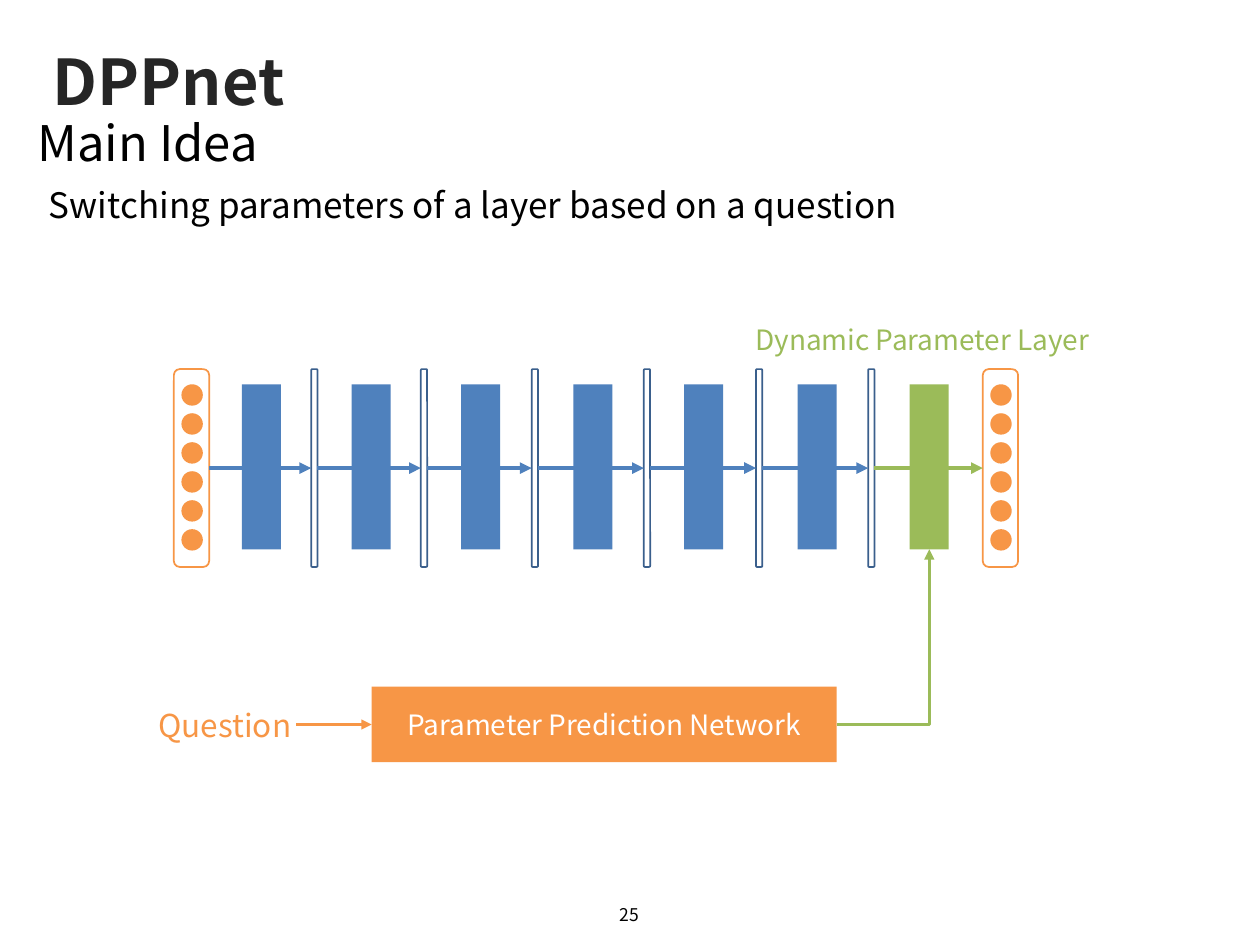
from lxml import etree
from pptx import Presentation
from pptx.dml.color import RGBColor
from pptx.enum.shapes import MSO_CONNECTOR, MSO_SHAPE
from pptx.enum.text import MSO_ANCHOR, PP_ALIGN
from pptx.oxml.ns import qn
from pptx.util import Inches, Pt

RECT, ROUND, OVAL = MSO_SHAPE.RECTANGLE, MSO_SHAPE.ROUNDED_RECTANGLE, MSO_SHAPE.OVAL
STRAIGHT, ELBOW = MSO_CONNECTOR.STRAIGHT, MSO_CONNECTOR.ELBOW
LEFT, CENTER, MIDDLE = PP_ALIGN.LEFT, PP_ALIGN.CENTER, MSO_ANCHOR.MIDDLE
TOP_SIDE, LEFT_SIDE, BOTTOM_SIDE, RIGHT_SIDE = range(4)

FONT = "Noto Sans CJK KR"
BLACK = RGBColor(0x00, 0x00, 0x00)
DARK = RGBColor(0x26, 0x26, 0x26)
WHITE = RGBColor(0xFF, 0xFF, 0xFF)
ORANGE = RGBColor(0xF7, 0x96, 0x46)
BLUE = RGBColor(0x4F, 0x81, 0xBD)
NAVY = RGBColor(0x3A, 0x5F, 0x8C)
GREEN = RGBColor(0x9B, 0xBB, 0x59)

TITLE = ("DPPnet", (0.32, 0.28, 9.38, 0.72), LEFT, {"size": Pt(36), "bold": True}, DARK)
TEXTS = [
    ("25", (3.83, 7.06, 2.33, 0.4), CENTER, {"size": Pt(10)}, BLACK),
    ("Main Idea", (0.2, 0.8, 9.8, 0.66), LEFT, {"size": Pt(28)}, BLACK),
    ("Switching parameters of a layer based on a question",
     (0.29, 1.39, 9.71, 0.47), LEFT, {"size": Pt(20)}, BLACK),
    ("Dynamic Parameter Layer", (5.78, 2.49, 3.08, 0.41), CENTER, {"size": Pt(16)}, GREEN),
]
QUESTION = ("Question", (1.22, 5.58, 1.13, 0.34), CENTER, {"size": Pt(18)}, ORANGE)
NETWORK = ("Parameter Prediction Network", (2.95, 5.45, 3.69, 0.6), CENTER,
           {"size": Pt(16)}, WHITE)

BLOCK_LEFTS = [1.92, 2.79, 3.66, 4.55, 5.43, 6.33]
BAR_LEFTS = [2.47, 3.34, 4.22, 5.11, 6, 6.89]
DYNAMIC_LEFT = 7.22
INPUT_LEFT, OUTPUT_LEFT = 1.38, 7.8
BLOCK_TOP, BLOCK_W, BLOCK_H = 3.05, 0.31, 1.31
BAR_TOP, BAR_W, BAR_H = 2.93, 0.05, 1.57
COLUMN_W, NODE_COUNT, NODE_SIZE, NODE_STEP, NODE_INSET = 0.28, 6, 0.17, 0.23, 0.06


def box(values):
    return [Inches(v) for v in values]


def write(s, text, align, fmt, color):
    tf = s.text_frame
    tf.word_wrap = True
    tf.vertical_anchor = MIDDLE
    p = tf.paragraphs[0]
    p.alignment = align
    r = p.add_run()
    r.text = text
    for name, value in {"name": FONT, **fmt}.items():
        setattr(r.font, name, value)
    r.font.color.rgb = color


def add_text(shapes, text, at, *style):
    s = shapes.add_textbox(*box(at))
    write(s, text, *style)
    return s


def add_shape(shapes, kind, at, fill=None, line=None):
    s = shapes.add_shape(kind, *box(at))
    s.shadow.inherit = False
    for paint, color in ((s.fill, fill), (s.line.fill, line)):
        if color is None:
            paint.background()
        else:
            paint.solid()
            paint.fore_color.rgb = color
    if line is not None:
        s.line.width = Pt(1)
    return s


def add_column(shapes, left):
    group = shapes.add_group_shape()
    for i in range(NODE_COUNT):
        at = (left + NODE_INSET, BLOCK_TOP + i * NODE_STEP, NODE_SIZE, NODE_SIZE)
        add_shape(group.shapes, OVAL, at, fill=ORANGE)
    return add_shape(group.shapes, ROUND, (left, BAR_TOP, COLUMN_W, BAR_H), line=ORANGE)


def add_arrow(shapes, start, end, color, width, end_side=LEFT_SIDE, kind=STRAIGHT):
    c = shapes.add_connector(kind, 0, 0, 0, 0)
    c.begin_connect(start, RIGHT_SIDE)
    c.end_connect(end, end_side)
    c.line.color.rgb = color
    c.line.width = Pt(width)
    etree.SubElement(c.line._get_or_add_ln(), qn("a:tailEnd"), type="triangle")
    sp_pr = c._element.spPr
    etree.SubElement(sp_pr, qn("a:effectLst"))
    if kind == ELBOW:
        sp_pr.find(qn("a:prstGeom")).set("prst", "bentConnector2")


def main():
    prs = Presentation()
    prs.slide_width, prs.slide_height = Inches(10), Inches(7.5)
    slide = prs.slides.add_slide(prs.slide_layouts[5])
    shapes = slide.shapes

    text, at, *style = TITLE
    title = shapes.title
    title.left, title.top, title.width, title.height = box(at)
    write(title, text, *style)
    for item in TEXTS:
        add_text(shapes, *item)

    stops = [add_column(shapes, INPUT_LEFT)]
    for block_left, bar_left in zip(BLOCK_LEFTS, BAR_LEFTS):
        add_shape(shapes, RECT, (block_left, BLOCK_TOP, BLOCK_W, BLOCK_H), fill=BLUE)
        stops.append(add_shape(shapes, ROUND, (bar_left, BAR_TOP, BAR_W, BAR_H), line=NAVY))
    dynamic = add_shape(shapes, RECT, (DYNAMIC_LEFT, BLOCK_TOP, BLOCK_W, BLOCK_H), fill=GREEN)
    output = add_column(shapes, OUTPUT_LEFT)

    for start, end in zip(stops, stops[1:]):
        add_arrow(shapes, start, end, BLUE, 2.25)
    add_arrow(shapes, stops[-1], output, GREEN, 2.25)

    question = add_text(shapes, *QUESTION)
    tf = question.text_frame
    for side in ("left", "top", "right", "bottom"):
        setattr(tf, f"margin_{side}", 0)
    text, at, *style = NETWORK
    network = add_shape(shapes, RECT, at, fill=ORANGE)
    write(network, text, *style)
    add_arrow(shapes, question, network, ORANGE, 1.5)
    add_arrow(shapes, network, dynamic, GREEN, 1.5, BOTTOM_SIDE, ELBOW)

    prs.save("out.pptx")


if __name__ == "__main__":
    main()
